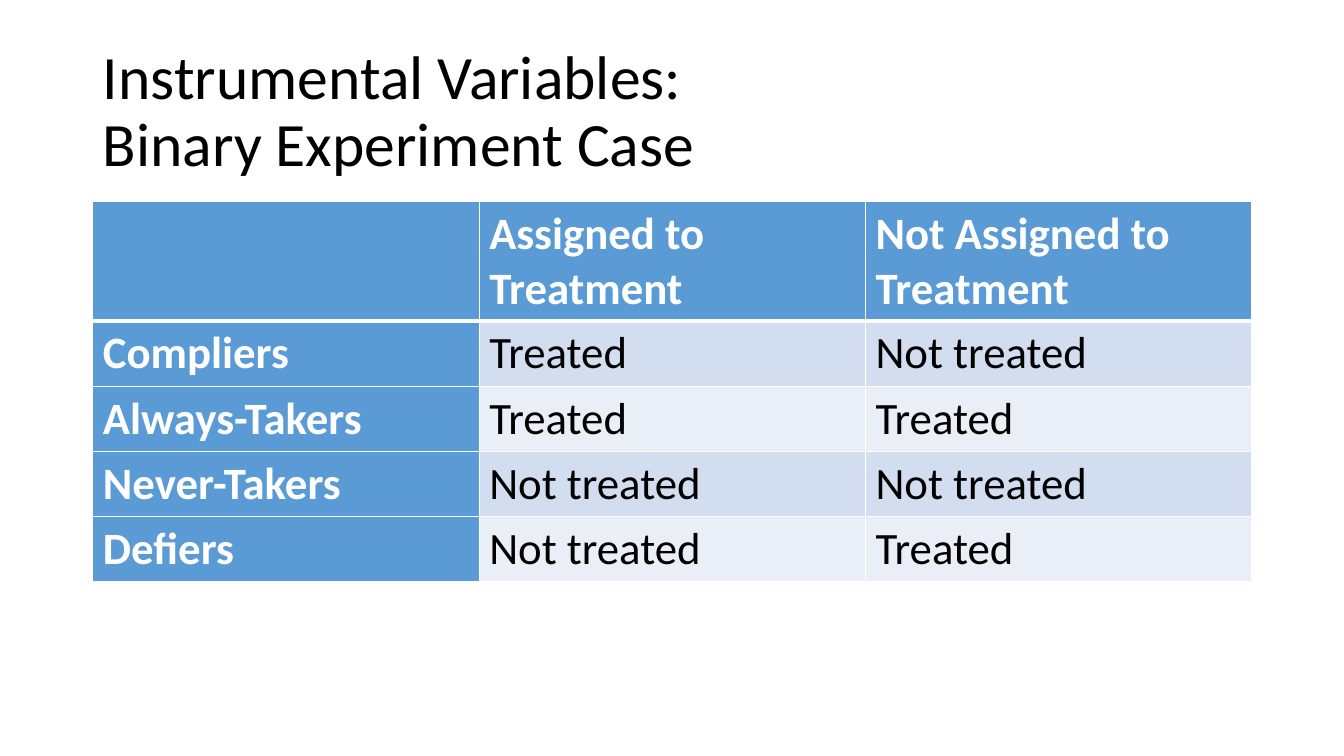
from lxml.etree import fromstring
from pptx import Presentation
from pptx.dml.color import RGBColor
from pptx.enum.text import MSO_ANCHOR, MSO_AUTO_SIZE, PP_ALIGN
from pptx.oxml.ns import nsdecls
from pptx.util import Cm, Pt


def rgb(color):
    return RGBColor.from_string(color)


def write(tf, text, size=32, color="000000", bold=False, font="Calibri", spacing=1.0):
    """Put one left-aligned paragraph in a text frame; \\v breaks the line."""
    p = tf.paragraphs[0]
    p.text = text
    p.alignment = PP_ALIGN.LEFT
    p.line_spacing = spacing
    for r in p.runs:
        r.font.name, r.font.size, r.font.bold = font, Pt(size), bold
        r.font.color.rgb = rgb(color)


def set_borders(cell, color, **widths):
    """Set the L, R, T and B borders of a cell, in points."""
    tcPr = cell._tc.get_or_add_tcPr()
    for i, side in enumerate("LRTB"):
        tcPr.insert(i, fromstring(
            f'<a:ln{side} {nsdecls("a")} w="{Pt(widths.get(side, 1))}">'
            f'<a:solidFill><a:srgbClr val="{color}"/></a:solidFill></a:ln{side}>'))


class Deck:
    HEAD = "5B9BD5"
    BANDS = ("EAEFF7", "D2DEEF")
    WHITE = "FFFFFF"
    LEFT, WIDTH = Cm(2.34), Cm(29.21)

    def __init__(self):
        self.prs = Presentation()
        self.prs.slide_width, self.prs.slide_height = Cm(33.87), Cm(19.05)

    def slide(self):
        self.s = self.prs.slides.add_slide(self.prs.slide_layouts[5])

    def title(self, text, top, height):
        sp = self.s.shapes.title
        sp.left, sp.top, sp.width, sp.height = self.LEFT, top, self.WIDTH, height
        tf = sp.text_frame
        tf.auto_size = MSO_AUTO_SIZE.NONE
        tf.vertical_anchor = MSO_ANCHOR.MIDDLE
        write(tf, text, size=44, spacing=0.9)

    def table(self, rows, top, head_height, row_height):
        height = head_height + row_height * (len(rows) - 1)
        table = self.s.shapes.add_table(
            len(rows), len(rows[0]), self.LEFT, top, self.WIDTH, height).table
        for i, row in enumerate(rows):
            table.rows[i].height = row_height if i else head_height
            for j, text in enumerate(row):
                self.cell(table.cell(i, j), text, i, j)

    def cell(self, cell, text, i, j):
        is_head = i == 0 or j == 0
        cell.fill.solid()
        cell.fill.fore_color.rgb = rgb(self.HEAD if is_head else self.BANDS[i % 2])
        # A thick rule separates the header from the body
        set_borders(cell, self.WHITE, T=3 if i == 1 else 1, B=3 if i == 0 else 1)
        write(cell.text_frame, text, bold=is_head,
              color=self.WHITE if is_head else "000000")


deck = Deck()
deck.slide()

# Title
deck.title("Instrumental Variables: \vBinary Experiment Case", Cm(1.01), Cm(3.68))

# Treatment received by each group
deck.table([
    ("", "Assigned to Treatment", "Not Assigned to Treatment"),
    ("Compliers", "Treated", "Not treated"),
    ("Always-Takers", "Treated", "Treated"),
    ("Never-Takers", "Not treated", "Not treated"),
    ("Defiers", "Not treated", "Treated"),
], Cm(5.08), head_height=Cm(3), row_height=Cm(1.64))

deck.prs.save("out.pptx")
